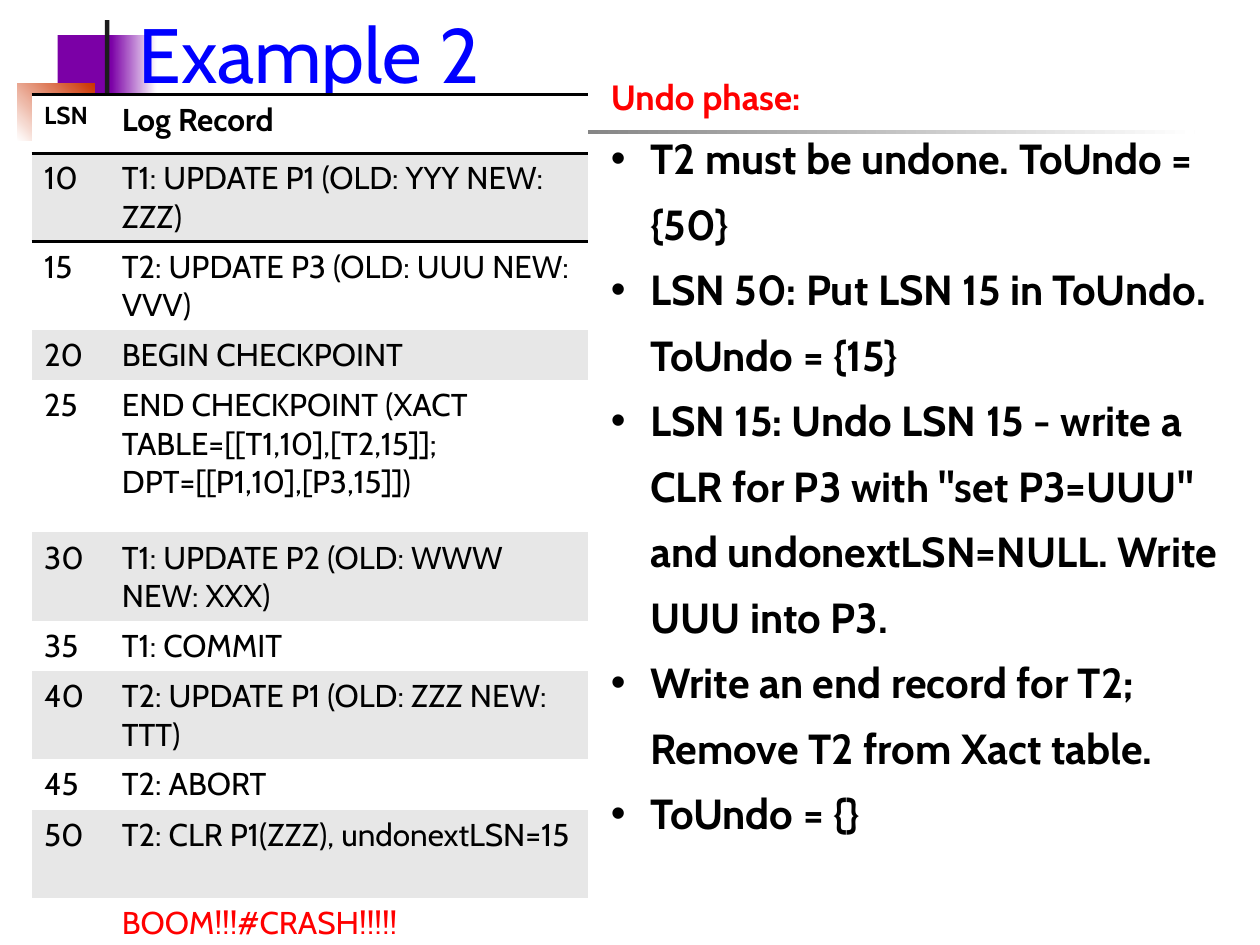
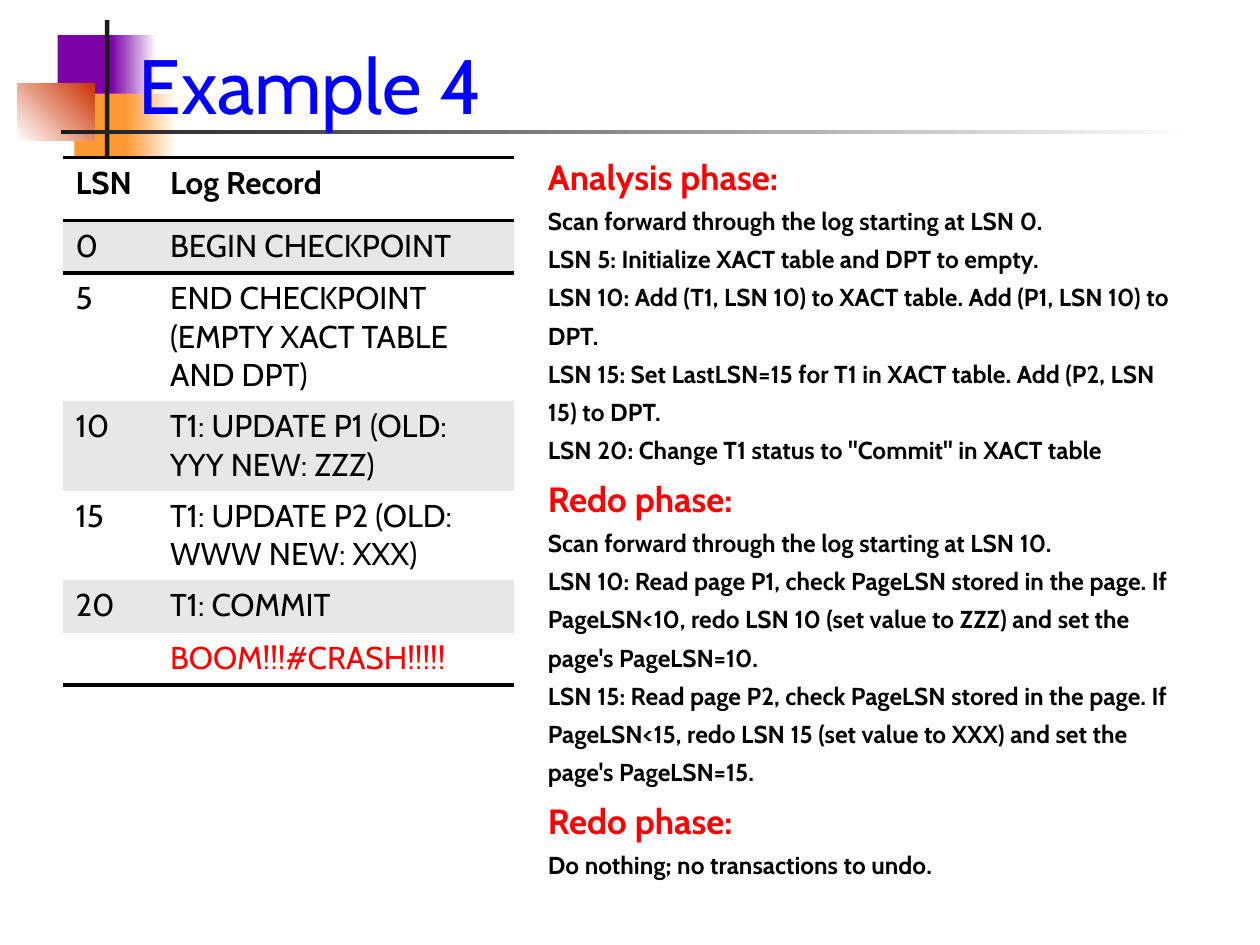
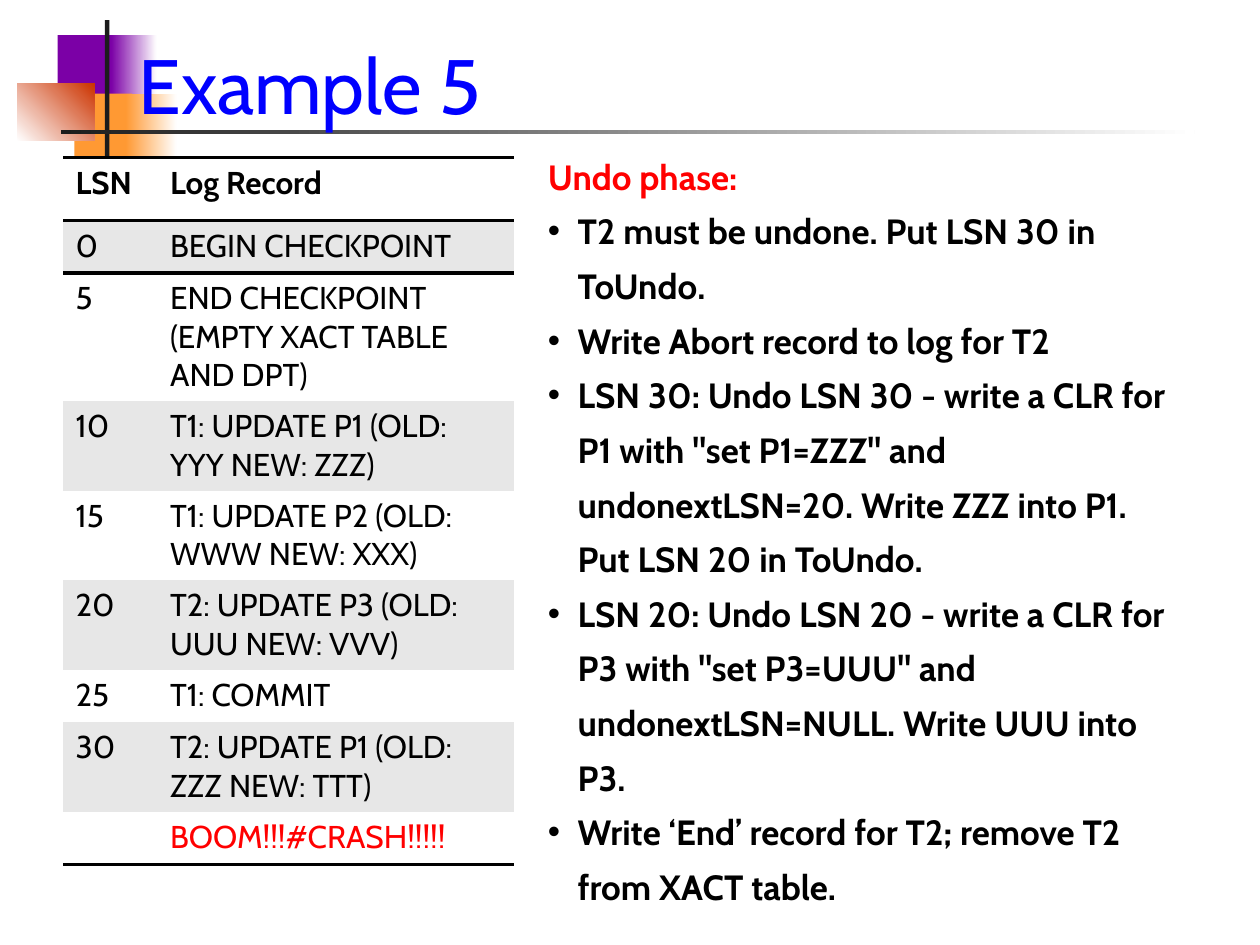
from lxml.etree import SubElement
from pptx import Presentation
from pptx.dml.color import RGBColor
from pptx.enum.shapes import MSO_SHAPE as Preset
from pptx.enum.text import MSO_ANCHOR as Anchor, MSO_AUTO_SIZE as AutoSize, PP_ALIGN as Align
from pptx.oxml.ns import qn
from pptx.util import Pt

FONT = "Cabin"
COLOURS = {
    "title": "0000FF", "text": "000000", "alert": "FF0000",
    "plain": "FFFFFF", "band": "E7E7E7", "bar": "1C1C1C",
    "purple": "7B00A6", "orange": "FF9933", "rust": "CC3300",
}
# left, top, width, height, colours, gradient angle
DECORATION = [
    (33, 20, 34.5, 37.5, ["purple"], 0),
    (63.5, 20, 26, 37.5, ["purple", "plain"], 0),
    (42.5, 53.5, 33, 37.5, ["orange"], 0),
    (72, 53.5, 29, 37.5, ["orange", "plain"], 0),
    (10, 47.5, 44, 33, ["plain", "rust"], 45),
    (60, 11.5, 2.5, 83, ["bar"], 0),
    (34.75, 74.25, 648, 2.25, ["bar", "plain"], 0),
]
NO_TABLE_STYLE = "{2D5ABB26-0587-4C30-8999-92F81FD0307C}"
TITLE_BOX = (72, -12, 636, 90)

# Row heights by number of text lines
SHORT, ONE, TWO, THREE = 28.8, 30, 50.4, 72
CRASH = "BOOM!!!#CRASH!!!!!"
EARLY_LOG = [
    ("0", "BEGIN CHECKPOINT", ONE),
    ("5", "END CHECKPOINT (EMPTY XACT TABLE AND DPT)", THREE),
    ("10", "T1: UPDATE P1 (OLD: YYY NEW: ZZZ)", TWO),
    ("15", "T1: UPDATE P2 (OLD: WWW NEW: XXX)", TWO),
]


def colour(name):
    return RGBColor.from_string(COLOURS[name])


class Lecture:
    def __init__(self):
        self.deck = Presentation()
        self.deck.slide_width, self.deck.slide_height = Pt(720), Pt(540)
        self.page = None

    def start_page(self, title, box=TITLE_BOX):
        self.page = self.deck.slides.add_slide(self.deck.slide_layouts[5])
        for left, top, width, height, fills, angle in DECORATION:
            self.block(left, top, width, height, fills, angle)
        shape = self.page.shapes.title
        shape.element.getparent().append(shape.element)  # in front of the decoration
        shape.left, shape.top, shape.width, shape.height = map(Pt, box)
        frame = shape.text_frame
        frame.vertical_anchor = Anchor.BOTTOM
        frame.auto_size = AutoSize.NONE
        para = frame.paragraphs[0]
        para.alignment = Align.LEFT
        self.span(para, title, 44, "title", False)

    def block(self, left, top, width, height, fills, angle):
        shape = self.page.shapes.add_shape(
            Preset.RECTANGLE, Pt(left), Pt(top), Pt(width), Pt(height))
        shape.shadow.inherit = False
        shape.line.fill.background()
        if len(fills) == 1:
            shape.fill.solid()
            shape.fill.fore_color.rgb = colour(fills[0])
            return
        shape.fill.gradient()
        shape.fill.gradient_angle = angle
        for stop, name in zip(shape.fill.gradient_stops, fills):
            stop.color.rgb = colour(name)

    def span(self, para, text, size, name="text", bold=True):
        span = para.add_run()
        span.text = text
        span.font.name, span.font.size, span.font.bold = FONT, Pt(size), bold
        span.font.color.rgb = colour(name)

    def notes(self, box, phases, size, indent=0):
        """Add phase headings with their steps; an indent makes the steps bulleted."""
        shape = self.page.shapes.add_textbox(*map(Pt, box))
        frame = shape.text_frame
        frame.word_wrap = True
        frame.auto_size = AutoSize.SHAPE_TO_FIT_TEXT
        para = frame.paragraphs[0]
        for number, (heading, steps) in enumerate(phases):
            if number:
                para = frame.add_paragraph()
            para.line_spacing = 1.3
            self.span(para, heading, 20, "alert")
            for step in steps:
                para = frame.add_paragraph()
                para.line_spacing = 1.3
                if indent:
                    self.bullet(para, indent)
                self.span(para, step, size)

    def bullet(self, para, indent):
        props = para._p.get_or_add_pPr()
        props.set("marL", str(Pt(indent)))
        props.set("indent", str(-Pt(indent)))
        SubElement(props, qn("a:buFont"), typeface="Arial")
        SubElement(props, qn("a:buChar"), char="•")

    def log_table(self, left, top, widths, records, header_height=36, lsn_size=18,
                  crash_height=ONE):
        rows = [("LSN", "Log Record", header_height), *records, ("", CRASH, crash_height)]
        last = len(rows) - 1
        frame = self.page.shapes.add_table(
            len(rows), 2, Pt(left), Pt(top), Pt(sum(widths)), Pt(sum(row[2] for row in rows)))
        table = frame.table
        table.first_row = table.horz_banding = False
        frame.element.find(".//" + qn("a:tableStyleId")).text = NO_TABLE_STYLE
        for column, width in zip(table.columns, widths):
            column.width = Pt(width)
        for index, (lsn, record, height) in enumerate(rows):
            table.rows[index].height = Pt(height)
            sides = {0: ["lnT", "lnB"], 1: ["lnT"], last: ["lnB"]}.get(index, [])
            for cell, text in zip(table.rows[index].cells, (lsn, record)):
                for side in sides:
                    self.rule(cell, side)
                cell.fill.solid()
                cell.fill.fore_color.rgb = colour("band" if index % 2 else "plain")
                if text:
                    self.span(cell.text_frame.paragraphs[0], text,
                              lsn_size if text == "LSN" else 18,
                              "alert" if index == last else "text", index == 0)

    def rule(self, cell, side):
        line = SubElement(cell._tc.get_or_add_tcPr(), qn("a:" + side), w=str(Pt(2)))
        fill = SubElement(line, qn("a:solidFill"))
        SubElement(fill, qn("a:srgbClr"), val=COLOURS["text"])


def example_2(lecture):
    lecture.start_page("Example 2", (72, -6, 636, 66))
    lecture.notes((342, 32.5, 366, 491), [("Undo phase:", [
        "T2 must be undone. ToUndo = {50}",
        "LSN 50: Put LSN 15 in ToUndo. ToUndo = {15}",
        "LSN 15: Undo LSN 15 - write a CLR for P3 with \"set P3=UUU\" and "
        "undonextLSN=NULL. Write UUU into P3.",
        "Write an end record for T2; Remove T2 from Xact table.",
        "ToUndo = {}",
    ])], size=24, indent=22.5)
    lecture.log_table(18, 54, (44.5, 273.5), [
        ("10", "T1: UPDATE P1 (OLD: YYY NEW: ZZZ)", TWO),
        ("15", "T2: UPDATE P3 (OLD: UUU NEW: VVV)", TWO),
        ("20", "BEGIN CHECKPOINT", SHORT),
        ("25", "END CHECKPOINT (XACT TABLE=[[T1,10],[T2,15]]; DPT=[[P1,10],[P3,15]])", 87),
        ("30", "T1: UPDATE P2 (OLD: WWW NEW: XXX)", TWO),
        ("35", "T1: COMMIT", SHORT),
        ("40", "T2: UPDATE P1 (OLD: ZZZ NEW: TTT)", TWO),
        ("45", "T2: ABORT", SHORT),
        ("50", "T2: CLR P1(ZZZ), undonextLSN=15", TWO),
    ], header_height=33.5, lsn_size=14, crash_height=SHORT)


def example_4(lecture):
    lecture.start_page("Example 4")
    lecture.log_table(36, 90, (54, 204), EARLY_LOG + [("20", "T1: COMMIT", ONE)])
    lecture.notes((306, 78, 372, 432), [
        ("Analysis phase:", [
            "Scan forward through the log starting at LSN 0.",
            "LSN 5: Initialize XACT table and DPT to empty.",
            "LSN 10: Add (T1, LSN 10) to XACT table. Add (P1, LSN 10) to DPT.",
            "LSN 15: Set LastLSN=15 for T1 in XACT table. Add (P2, LSN 15) to DPT.",
            "LSN 20: Change T1 status to \"Commit\" in XACT table",
        ]),
        ("Redo phase:", [
            "Scan forward through the log starting at LSN 10.",
            "LSN 10: Read page P1, check PageLSN stored in the page. If PageLSN<10, "
            "redo LSN 10 (set value to ZZZ) and set the page's PageLSN=10.",
            "LSN 15: Read page P2, check PageLSN stored in the page. If PageLSN<15, "
            "redo LSN 15 (set value to XXX) and set the page's PageLSN=15.",
        ]),
        ("Redo phase:", ["Do nothing; no transactions to undo."]),
    ], size=14)


def example_5(lecture):
    lecture.start_page("Example 5")
    lecture.log_table(36, 90, (54, 204), EARLY_LOG + [
        ("20", "T2: UPDATE P3 (OLD: UUU NEW: VVV)", TWO),
        ("25", "T1: COMMIT", ONE),
        ("30", "T2: UPDATE P1 (OLD: ZZZ NEW: TTT)", TWO),
    ])
    lecture.notes((306, 78, 372, 447), [("Undo phase:", [
        "T2 must be undone. Put LSN 30 in ToUndo.",
        "Write Abort record to log for T2",
        "LSN 30: Undo LSN 30 - write a CLR for P1 with \"set P1=ZZZ\" and "
        "undonextLSN=20. Write ZZZ into P1. Put LSN 20 in ToUndo.",
        "LSN 20: Undo LSN 20 - write a CLR for P3 with \"set P3=UUU\" and "
        "undonextLSN=NULL. Write UUU into P3.",
        "Write ‘End’ record for T2; remove T2 from XACT table.",
    ])], size=20, indent=17)


def main():
    lecture = Lecture()
    example_2(lecture)
    example_4(lecture)
    example_5(lecture)
    lecture.deck.save("out.pptx")


if __name__ == "__main__":
    main()
